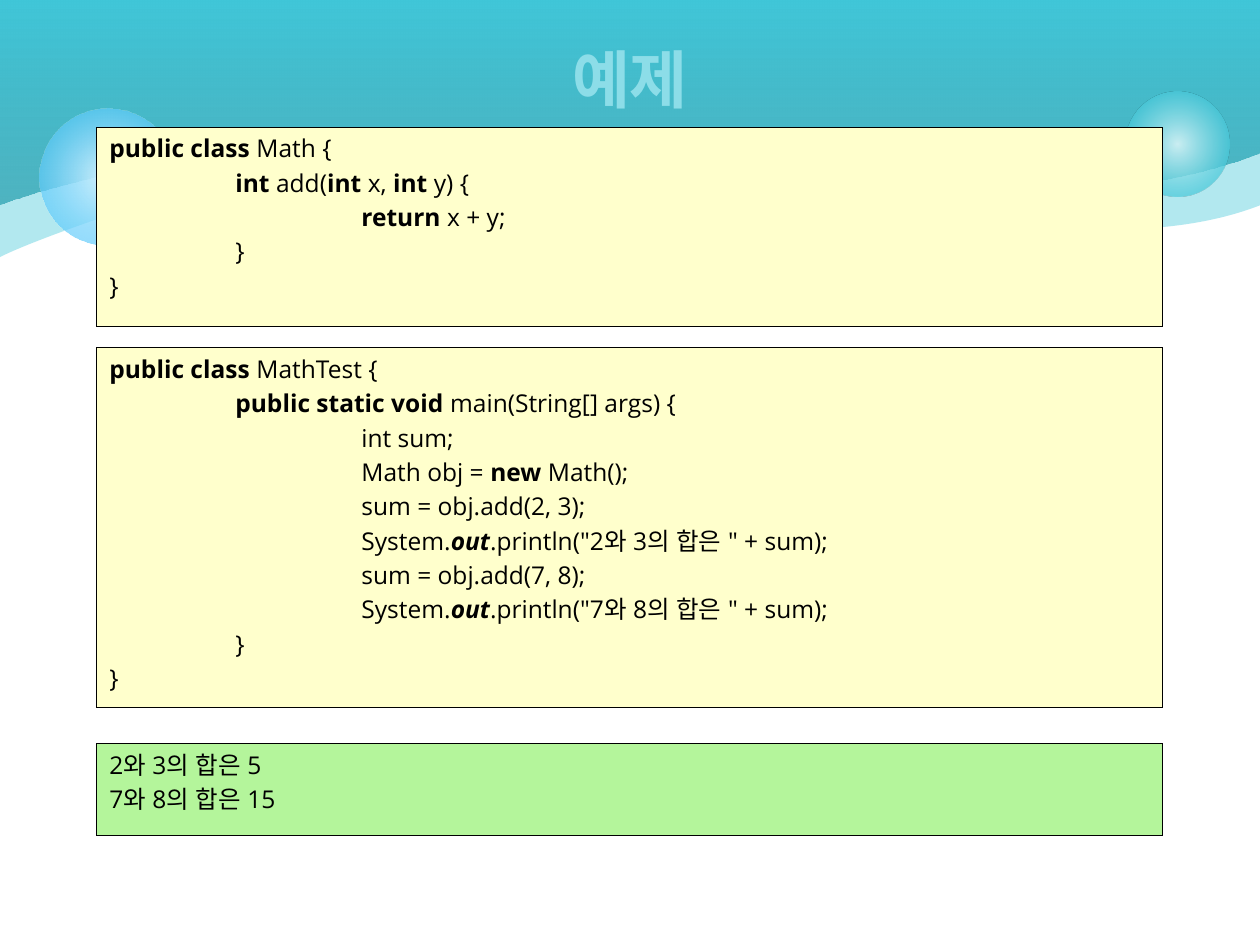
from lxml import etree
from pptx import Presentation
from pptx.dml.color import RGBColor
from pptx.enum.shapes import MSO_SHAPE
from pptx.enum.text import MSO_ANCHOR, PP_ALIGN
from pptx.oxml.ns import qn
from pptx.util import Inches, Pt

RECT, OVAL = MSO_SHAPE.RECTANGLE, MSO_SHAPE.OVAL
TOP, MIDDLE = MSO_ANCHOR.TOP, MSO_ANCHOR.MIDDLE
LEFT, CENTER = PP_ALIGN.LEFT, PP_ALIGN.CENTER
W, H = Inches(10), Inches(7.5)

COLORS = {
    "teal": "40C6D8", "deep": "249EAE", "mist": "D9F4F7", "title": "8CDDE8",
    "sky": "33BDFB", "pale_sky": "D6F2FE",
    "code": "FFFFCC", "output": "B4F59B", "ink": "000000",
}
BODY = {"size": Pt(14), "name": "Open Sans"}
HEADING = {"size": Pt(36), "name": "Noto Sans CJK KR", "bold": True}

# Wave edges in inches: start point, then Bezier segments (two controls, end)
BACK_WAVE = [(0, 2.04),
             (0.33, 1.87), (2.14, 1.22), (3.28, 1.15),
             (4.43, 1.08), (6.06, 1.48), (6.87, 1.61),
             (7.68, 1.73), (9.02, 2.01), (10, 1.63)]
FRONT_WAVE = [(0, 1.62),
              (0.45, 1.44), (2.03, 1.08), (3.26, 1.05),
              (4.49, 1.02), (6.58, 1.39), (7.37, 1.44),
              (8.16, 1.49), (9.02, 1.59), (10, 1.21)]

# Text between asterisks is bold
MATH_CLASS = [
    "*public class* Math {",
    "\t*int* add(*int* x, *int* y) {",
    "\t\t*return* x + y;",
    "\t}",
    "}",
]
TEST_CLASS = [
    "*public class *MathTest {",
    "\t*public static void* main(String[] args) {",
    "\t\tint sum;",
    "\t\tMath obj = *new* Math();",
    "\t\tsum = obj.add(2, 3);",
    '\t\tSystem.*out*.println("2와 3의 합은 " + sum);',
    "\t\tsum = obj.add(7, 8);",
    '\t\tSystem.*out*.println("7와 8의 합은 " + sum);',
    "\t}",
    "}",
]
OUTPUT = ["2와 3의 합은 5", "7와 8의 합은 15"]


def rgb(name):
    return RGBColor.from_string(COLORS[name])


def share(left, top, width, height):
    """Turn shares of the slide into a box of lengths."""
    return int(left * W), int(top * H), int(width * W), int(height * H)


def paint(sp, stops, angle=None):
    """Fill with (position, colour, opacity) stops: solid, linear or radial."""
    sp.shadow.inherit = False
    sp.line.fill.background()
    sp.fill.solid()
    old = sp._element.spPr.find(qn("a:solidFill"))
    solid = len(stops) == 1
    fill = etree.Element(qn("a:solidFill" if solid else "a:gradFill"))
    parent = fill if solid else etree.SubElement(fill, qn("a:gsLst"))
    for pos, color, opacity in stops:
        stop = parent if solid else etree.SubElement(
            parent, qn("a:gs"), pos=str(pos * 1000))
        clr = etree.SubElement(stop, qn("a:srgbClr"), val=COLORS[color])
        etree.SubElement(clr, qn("a:alpha"), val=str(opacity * 1000))
    if angle is not None:
        etree.SubElement(fill, qn("a:lin"), ang=str(angle * 60000), scaled="0")
    elif not solid:
        radial = etree.SubElement(fill, qn("a:path"), path="circle")
        etree.SubElement(radial, qn("a:fillToRect"),
                         {side: "50000" for side in "ltrb"})
    old.getparent().replace(old, fill)


def add_wave(s, edge, stops, angle=None):
    """Draw the area above a wavy edge; its edge points become curves."""
    outline = edge + [(10.01, 0)]
    builder = s.shapes.build_freeform(0, 0)
    builder.add_line_segments([(Inches(x), Inches(y)) for x, y in outline])
    sp = builder.convert_to_shape()
    lines = list(sp._element.iter(qn("a:lnTo")))
    for i in range(1, len(edge), 3):
        curve = etree.Element(qn("a:cubicBezTo"))
        lines[i].addprevious(curve)
        for line in lines[i:i + 3]:
            curve.append(line[0])
            line.getparent().remove(line)
    paint(sp, stops, angle)


def add_backdrop(s):
    add_wave(s, BACK_WAVE, [(0, "teal", 40)])
    add_wave(s, FRONT_WAVE, [(0, "deep", 69), (100, "teal", 100)], 270)
    bubbles = [
        (0.893, 0.073, 0.083, [(0, "mist", 90), (76, "teal", 70)]),
        (0.031, 0.086, 0.109, [(0, "pale_sky", 100), (100, "sky", 54)]),
    ]
    for x, y, size, stops in bubbles:  # all shares of the width
        box = [int(v * W) for v in (x, y, size, size)]
        paint(s.shapes.add_shape(OVAL, *box), stops)


def set_tabs(p, count):
    """Put a tab stop at every inch."""
    tabs = etree.SubElement(p._p.get_or_add_pPr(), qn("a:tabLst"))
    for i in range(1, count + 1):
        etree.SubElement(tabs, qn("a:tab"), pos=str(Inches(i)), algn="l")


def write(sp, lines, style, color, anchor=TOP, align=LEFT, gap=0):
    tf = sp.text_frame
    tf.word_wrap = True
    tf.vertical_anchor = anchor
    for i, line in enumerate(lines):
        p = tf.paragraphs[0] if i == 0 else tf.add_paragraph()
        p.alignment = align
        p.space_before = Pt(gap)
        if "\t" in line:
            set_tabs(p, 2)
        for j, text in enumerate(line.split("*")):
            if not text:
                continue
            r = p.add_run()
            r.text = text
            look = {"bold": j % 2 == 1, "italic": text == "out", **style}
            for key, value in look.items():
                setattr(r.font, key, value)
            r.font.color.rgb = rgb(color)
            latin = r.font._element.find(qn("a:latin"))
            latin.addnext(etree.Element(qn("a:ea"), typeface=style["name"]))


def add_title(s, box, text):
    sp = s.shapes.add_textbox(*box)
    write(sp, [text], HEADING, "title", MIDDLE, CENTER)


def add_panel(s, box, lines, fill):
    sp = s.shapes.add_shape(RECT, *box)
    sp.shadow.inherit = False
    sp._element.remove(sp._element.find(qn("p:style")))  # keeps a hairline
    sp.fill.solid()
    sp.fill.fore_color.rgb = rgb(fill)
    sp.line.color.rgb = rgb("ink")
    write(sp, lines, BODY, "ink", gap=2.8)


def main():
    prs = Presentation()
    prs.slide_width, prs.slide_height = W, H
    s = prs.slides.add_slide(prs.slide_layouts[6])
    add_backdrop(s)
    add_title(s, share(0.05, 0, 0.9, 1 / 6), "예제")
    # Panels share one column; top and height in inches
    for top, height, lines, fill in [(1.01, 1.58, MATH_CLASS, "code"),
                                     (2.76, 2.86, TEST_CLASS, "code"),
                                     (5.9, 0.73, OUTPUT, "output")]:
        add_panel(s, share(0.077, top / 7.5, 0.846, height / 7.5), lines, fill)
    prs.save("out.pptx")


if __name__ == "__main__":
    main()
